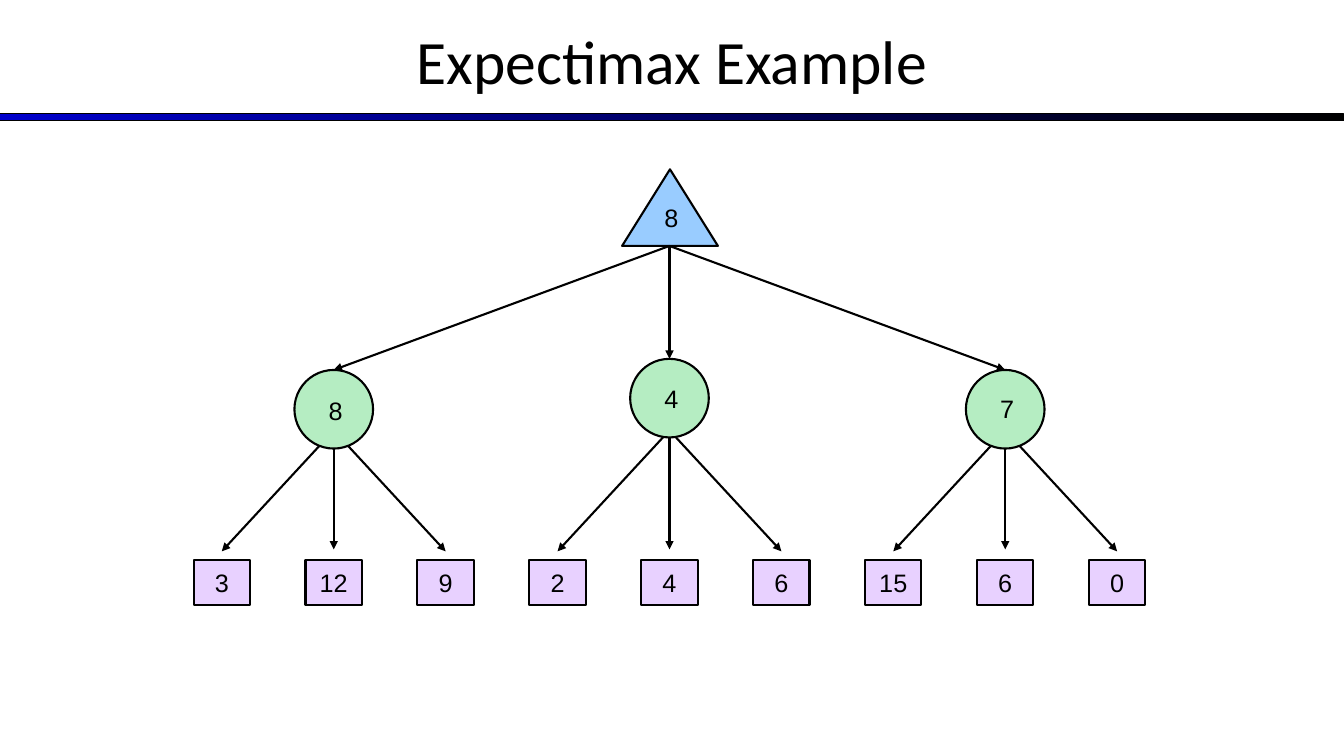
from lxml import etree
from pptx import Presentation
from pptx.dml.color import RGBColor
from pptx.enum.shapes import MSO_CONNECTOR, MSO_SHAPE
from pptx.enum.text import MSO_ANCHOR, MSO_AUTO_SIZE, PP_ALIGN
from pptx.oxml.ns import qn
from pptx.util import Inches, Pt

RECT, OVAL = MSO_SHAPE.RECTANGLE, MSO_SHAPE.OVAL
TRIANGLE = MSO_SHAPE.ISOSCELES_TRIANGLE
STRAIGHT = MSO_CONNECTOR.STRAIGHT
CENTER, MIDDLE, TOP = PP_ALIGN.CENTER, MSO_ANCHOR.MIDDLE, MSO_ANCHOR.TOP
FIT_TEXT = MSO_AUTO_SIZE.SHAPE_TO_FIT_TEXT

BLACK, BLUE = "000000", "0000CC"
MAX_FILL, CHANCE_FILL, LEAF_FILL = "99CCFF", "B5EDC2", "E8D1FF"

# Tree geometry in inches
ROOT_X, ROOT_BASE = 6.64, 2.44
LEAF_STEP = 1.11
CHANCE_STEP = 3 * LEAF_STEP
CIRCLE = 0.78
LEAF_W, LEAF_H, LEAF_TOP = 0.56, 0.44, 5.56
LABEL_W, LABEL_H = 0.34, 0.4

# Chance nodes: value, circle top, label top, leaf values
CHANCE_NODES = [
    ("8", 3.67, 3.87, ("3", "12", "9")),
    ("4", 3.56, 3.75, ("2", "4", "6")),
    ("7", 3.67, 3.85, ("15", "6", "0")),
]


def color(value):
    return RGBColor.from_string(value)


class TreeSlide:
    def __init__(self, prs):
        self.slide = prs.slides.add_slide(prs.slide_layouts[5])
        self.shapes = self.slide.shapes
        self.line_width = Pt(1.5)
        self.value_format = {"name": "Arial", "size": Pt(18)}
        self.title_format = {"name": "Calibri", "size": Pt(44)}

    def set_text(self, tf, text, fmt, anchor=MIDDLE, wrap=False):
        tf.word_wrap = wrap
        tf.vertical_anchor = anchor
        p = tf.paragraphs[0]
        p.alignment = CENTER
        r = p.add_run()
        r.text = text
        for name, value in fmt.items():
            setattr(r.font, name, value)
        r.font.color.rgb = color(BLACK)

    def title(self, text, x, y, w, h):
        sp = self.shapes.title
        sp.left, sp.top, sp.width, sp.height = map(Inches, (x, y, w, h))
        self.set_text(sp.text_frame, text, self.title_format, wrap=True)

    def shape(self, kind, x, y, w, h, fill, text=None):
        sp = self.shapes.add_shape(kind, *map(Inches, (x, y, w, h)))
        sp.shadow.inherit = False
        sp.fill.solid()
        sp.fill.fore_color.rgb = color(fill)
        sp.line.color.rgb = color(BLACK)
        sp.line.width = self.line_width
        if text:
            self.set_text(sp.text_frame, text, self.value_format)
        return sp

    def gradient_bar(self, x, y, w, h, start, end):
        sp = self.shape(RECT, x, y, w, h, start)
        sp.line.width = Pt(0.75)
        sp.fill.gradient()
        sp.fill.gradient_angle = 0
        for stop, value in zip(sp.fill.gradient_stops, (start, end)):
            stop.color.rgb = color(value)

    def label(self, text, x, y):
        sp = self.shapes.add_textbox(*map(Inches, (x, y, LABEL_W, LABEL_H)))
        self.set_text(sp.text_frame, text, self.value_format, TOP)
        sp.text_frame.auto_size = FIT_TEXT

    def arrow(self, x1, y1, x2, y2, target=None):
        line = self.shapes.add_connector(STRAIGHT, *map(Inches, (x1, y1, x2, y2)))
        if target is not None:
            line.end_connect(target, 0)
        line.line.color.rgb = color(BLACK)
        line.line.width = self.line_width
        sp_pr = line._element.spPr
        etree.SubElement(sp_pr.find(qn("a:ln")), qn("a:tailEnd"), type="triangle")
        etree.SubElement(sp_pr, qn("a:effectLst"))


def main():
    prs = Presentation()
    prs.slide_width, prs.slide_height = Inches(13.33), Inches(7.5)
    s = TreeSlide(prs)

    # Title and rule
    s.gradient_bar(0, 1.13, 13.33, 0.07, BLUE, BLACK)
    s.title("Expectimax Example", 0, -0.03, 13.33, 1.25)

    # Max node
    s.shape(TRIANGLE, 6.17, 1.68, 0.95, 0.76, MAX_FILL)
    s.label("8", 6.49, 1.96)

    # Chance nodes with their leaves
    for i, (value, top, label_top, leaves) in enumerate(CHANCE_NODES):
        x = ROOT_X + (i - 1) * CHANCE_STEP
        for j, leaf in enumerate(leaves):
            leaf_x = x + (j - 1) * LEAF_STEP
            s.arrow(x, 4.27, leaf_x, 5.45 if j == 1 else 5.47)
            s.shape(RECT, leaf_x - LEAF_W / 2, LEAF_TOP, LEAF_W, LEAF_H, LEAF_FILL, leaf)
        circle = s.shape(OVAL, x - CIRCLE / 2, top, CIRCLE, CIRCLE, CHANCE_FILL)
        s.arrow(ROOT_X, ROOT_BASE, x, top, circle)
        s.label(value, x - 0.15, label_top)

    prs.save("out.pptx")


if __name__ == "__main__":
    main()
